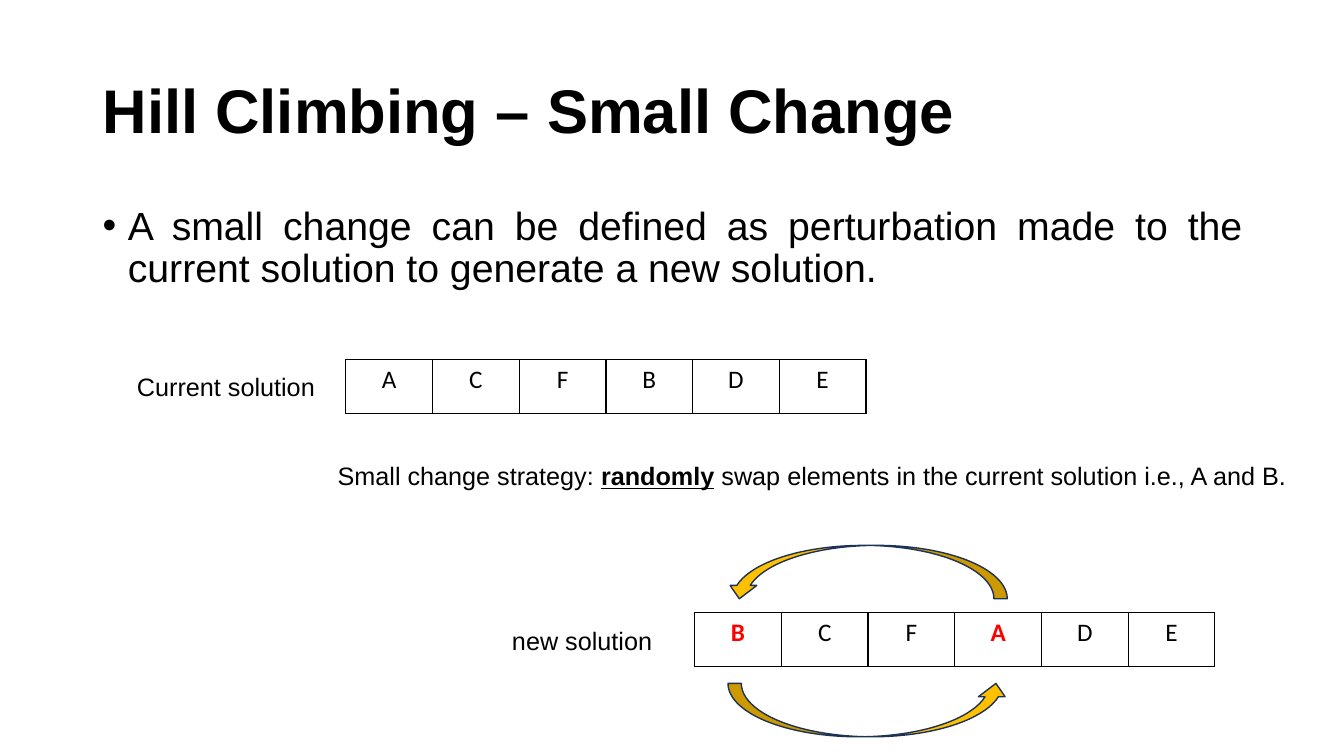
from dataclasses import dataclass

from lxml import etree
from pptx import Presentation
from pptx.dml.color import RGBColor
from pptx.enum.shapes import MSO_SHAPE
from pptx.enum.text import MSO_ANCHOR, PP_ALIGN
from pptx.oxml.ns import qn
from pptx.util import Inches, Pt

CURVED_ARROW = MSO_SHAPE.CURVED_UP_ARROW
TOP, MIDDLE = MSO_ANCHOR.TOP, MSO_ANCHOR.MIDDLE
LEFT, CENTER, JUSTIFY = PP_ALIGN.LEFT, PP_ALIGN.CENTER, PP_ALIGN.JUSTIFY


@dataclass(frozen=True)
class Theme:
    """Colours, fonts and type sizes of the slide."""
    ink: str = "000000"
    swapped: str = "FF0000"
    arrow_fill: str = "FFC000"
    arrow_line: str = "1E3256"
    font: str = "Arial"
    cell_font: str = "Calibri"
    title_size: int = 44
    body_size: int = 28
    label_size: int = 18
    line_width: int = 1


THEME = Theme()
CELL_WIDTH, CELL_HEIGHT = 0.86, 0.53
ARROW_WIDTH, ARROW_HEIGHT = 2.79, 0.53


def add_run(paragraph, text, *, size=THEME.label_size, font=THEME.font,
            color=THEME.ink, bold=False, underline=False):
    """Add formatted text to a paragraph."""
    run = paragraph.add_run()
    run.text = text
    run.font.size = Pt(size)
    run.font.name = font
    run.font.color.rgb = RGBColor.from_string(color)
    run.font.bold = bold
    run.font.underline = underline


def add_bullet(paragraph, indent):
    """Give a paragraph a round bullet with a hanging indent."""
    properties = paragraph._p.get_or_add_pPr()
    properties.set("marL", str(Inches(indent)))
    properties.set("indent", str(-Inches(indent)))
    etree.SubElement(properties, qn("a:buFont"), typeface=THEME.font)
    etree.SubElement(properties, qn("a:buChar"), char="•")


def add_paragraph_box(slide, left, top, width, height, *, anchor=TOP,
                      align=LEFT, spacing=1.0, wrap=True):
    """Add a text box and return its first paragraph."""
    box = slide.shapes.add_textbox(
        Inches(left), Inches(top), Inches(width), Inches(height))
    frame = box.text_frame
    frame.word_wrap = wrap
    frame.vertical_anchor = anchor
    paragraph = frame.paragraphs[0]
    paragraph.alignment = align
    paragraph.line_spacing = spacing
    return paragraph


def add_label(slide, left, top, width, text):
    """Add a one-line label."""
    add_run(add_paragraph_box(slide, left, top, width, 0.4, wrap=False), text)


def add_cell_borders(cell):
    """Draw a thin line on all four sides of a cell."""
    properties = cell._tc.get_or_add_tcPr()
    for side in ("lnL", "lnR", "lnT", "lnB"):
        line = etree.SubElement(
            properties, qn(f"a:{side}"), w=str(Pt(THEME.line_width)))
        fill = etree.SubElement(line, qn("a:solidFill"))
        etree.SubElement(fill, qn("a:srgbClr"), val=THEME.ink)


def add_solution(slide, left, top, elements, swapped=""):
    """Add a one-row table of elements, marking the swapped ones."""
    table = slide.shapes.add_table(
        1, len(elements), Inches(left), Inches(top),
        Inches(CELL_WIDTH * len(elements)), Inches(CELL_HEIGHT)).table
    table.first_row = False
    table.horz_banding = False
    for column, element in enumerate(elements):
        table.columns[column].width = Inches(CELL_WIDTH)
        cell = table.cell(0, column)
        add_cell_borders(cell)
        cell.fill.background()
        paragraph = cell.text_frame.paragraphs[0]
        paragraph.alignment = CENTER
        is_swapped = element in swapped
        add_run(paragraph, element, font=THEME.cell_font, bold=is_swapped,
                color=THEME.swapped if is_swapped else THEME.ink)


def add_swap_arrow(slide, left, top, rotation=0):
    """Add a curved arrow between the swapped elements."""
    arrow = slide.shapes.add_shape(
        CURVED_ARROW, Inches(left), Inches(top),
        Inches(ARROW_WIDTH), Inches(ARROW_HEIGHT))
    arrow.rotation = rotation
    arrow.shadow.inherit = False
    arrow.fill.solid()
    arrow.fill.fore_color.rgb = RGBColor.from_string(THEME.arrow_fill)
    arrow.line.color.rgb = RGBColor.from_string(THEME.arrow_line)
    arrow.line.width = Pt(THEME.line_width)


def main():
    """Build the slide and save it."""
    deck = Presentation()
    deck.slide_width, deck.slide_height = Inches(13.33), Inches(7.5)
    slide = deck.slides.add_slide(deck.slide_layouts[6])

    title = add_paragraph_box(
        slide, 0.92, 0.4, 11.5, 1.45, anchor=MIDDLE, spacing=0.9)
    add_run(title, "Hill Climbing – Small Change",
            size=THEME.title_size, bold=True)

    definition = add_paragraph_box(
        slide, 0.92, 2, 11.5, 4.76, align=JUSTIFY, spacing=0.9)
    add_bullet(definition, 0.25)
    add_run(definition, "A small change can be defined as perturbation made to "
            "the current solution to generate a new solution.",
            size=THEME.body_size)

    add_label(slide, 1.26, 3.63, 1.98, "Current solution")
    add_solution(slide, 3.43, 3.57, "ACFBDE")

    strategy = add_paragraph_box(slide, 3.25, 4.52, 9.75, 0.4, wrap=False)
    add_run(strategy, "Small change strategy: ")
    add_run(strategy, "randomly", bold=True, underline=True)
    add_run(strategy, " swap elements in the current solution i.e., A and B.")

    add_label(slide, 4.98, 6.15, 1.6, "new solution")
    add_solution(slide, 6.89, 6.08, "BCFADE", swapped="AB")
    add_swap_arrow(slide, 7.22, 6.78)
    add_swap_arrow(slide, 7.2, 5.41, rotation=180)

    deck.save("out.pptx")


if __name__ == "__main__":
    main()
